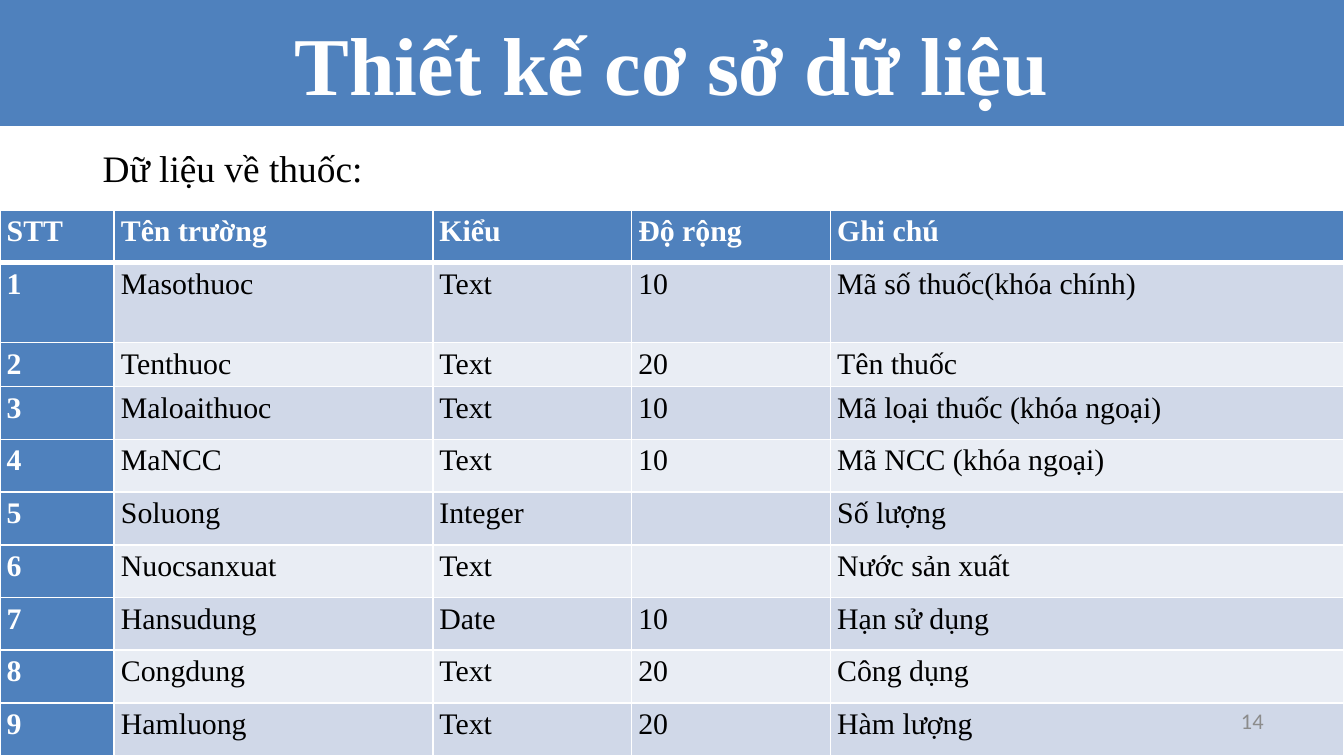
from lxml import etree
from pptx import Presentation
from pptx import util as u
from pptx.dml.color import RGBColor
from pptx.enum import text
from pptx.oxml import ns

PX = u.Inches(1) // 400
WIDTH, HEIGHT = 4000, 2250
COLORS = {
    "blue": "4F81BD",
    "band_dark": "D0D8E8",
    "band_light": "E9EDF4",
    "white": "FFFFFF",
    "black": "000000",
    "gray": "8C8C8C",
}
SERIF = "Times New Roman"
COLUMN_WIDTHS = [340, 948, 592, 592, 1528]
ROW_HEIGHTS = [157, 238, 131] + [157] * 7
HEADER_BORDERS = {"lnL": 1, "lnR": 1, "lnT": 1, "lnB": 3}
HEADER = ["STT", "Tên trường", "Kiểu", "Độ rộng", "Ghi chú"]
FIELDS = [
    ("Masothuoc", "Text", "10", "Mã số thuốc(khóa chính)"),
    ("Tenthuoc", "Text", "20", "Tên thuốc"),
    ("Maloaithuoc", "Text", "10", "Mã loại thuốc (khóa ngoại)"),
    ("MaNCC", "Text", "10", "Mã NCC (khóa ngoại)"),
    ("Soluong", "Integer", "", "Số lượng"),
    ("Nuocsanxuat", "Text", "", "Nước sản xuất"),
    ("Hansudung", "Date", "10", "Hạn sử dụng"),
    ("Congdung", "Text", "20", "Công dụng"),
    ("Hamluong", "Text", "20", "Hàm lượng"),
]


def color(name):
    return RGBColor.from_string(COLORS[name])


def fill(target, name):
    target.fill.solid()
    target.fill.fore_color.rgb = color(name)


def format_font(paragraph, size, color_name, name=SERIF, bold=False):
    font = paragraph.font
    font.name, font.size, font.bold = name, u.Pt(size), bold
    font.color.rgb = color(color_name)


def to_emu(box):
    return [length * PX for length in box]


def add_borders(cell, borders):
    properties = cell._tc.get_or_add_tcPr()
    for index, (side, width) in enumerate(borders.items()):
        line = etree.Element(ns.qn(f"a:{side}"), w=str(u.Pt(width)))
        solid = etree.SubElement(line, ns.qn("a:solidFill"))
        etree.SubElement(solid, ns.qn("a:srgbClr"), val=COLORS["white"])
        properties.insert(index, line)


def add_title(slide, box):
    title = slide.shapes.title
    title.left, title.top, title.width, title.height = to_emu(box)
    fill(title, "blue")
    frame = title.text_frame
    frame.text = "Thiết kế cơ sở dữ liệu"
    frame.auto_size = text.MSO_AUTO_SIZE.NONE
    frame.vertical_anchor = text.MSO_ANCHOR.MIDDLE
    paragraph = frame.paragraphs[0]
    paragraph.alignment = text.PP_ALIGN.CENTER
    format_font(paragraph, 44, "white", bold=True)


def add_field_table(slide, box):
    rows = [HEADER] + [(str(i), *field) for i, field in enumerate(FIELDS, 1)]
    table = slide.shapes.add_table(len(rows), len(HEADER), *to_emu(box)).table
    table.first_col = True
    for column, width in zip(table.columns, COLUMN_WIDTHS):
        column.width = width * PX
    for row, height in zip(table.rows, ROW_HEIGHTS):
        row.height = height * PX
    for row_index, values in enumerate(rows):
        band = "band_dark" if row_index % 2 else "band_light"
        for column_index, value in enumerate(values):
            heading = row_index == 0 or column_index == 0
            cell = table.cell(row_index, column_index)
            cell.margin_left = cell.margin_right = 20 * PX
            cell.margin_top = cell.margin_bottom = 0
            fill(cell, "blue" if heading else band)
            if row_index == 0:
                add_borders(cell, HEADER_BORDERS)
            cell.text = value
            paragraph = cell.text_frame.paragraphs[0]
            paragraph.line_spacing = 1.15
            format_font(paragraph, 16, "white" if heading else "black", bold=heading)


def add_caption(slide, box):
    frame = slide.shapes.add_textbox(*to_emu(box)).text_frame
    frame.word_wrap = False
    frame.auto_size = text.MSO_AUTO_SIZE.SHAPE_TO_FIT_TEXT
    frame.text = "Dữ liệu về thuốc:"
    format_font(frame.paragraphs[0], 20, "black")


def add_page_number(slide, box):
    frame = slide.shapes.add_textbox(*to_emu(box)).text_frame
    frame.word_wrap = True
    frame.vertical_anchor = text.MSO_ANCHOR.MIDDLE
    frame.text = "14"
    paragraph = frame.paragraphs[0]
    paragraph.alignment = text.PP_ALIGN.RIGHT
    format_font(paragraph, 12, "gray", name="Calibri")


def main():
    presentation = Presentation()
    presentation.slide_width, presentation.slide_height = WIDTH * PX, HEIGHT * PX
    slide = presentation.slides.add_slide(presentation.slide_layouts[5])
    add_title(slide, (0, 0, WIDTH, 375))
    add_field_table(slide, (0, 625, WIDTH, sum(ROW_HEIGHTS)))
    add_caption(slide, (266, 412, 860, 175))
    add_page_number(slide, (2867, 2085, 933, 120))
    presentation.save("out.pptx")


if __name__ == "__main__":
    main()
